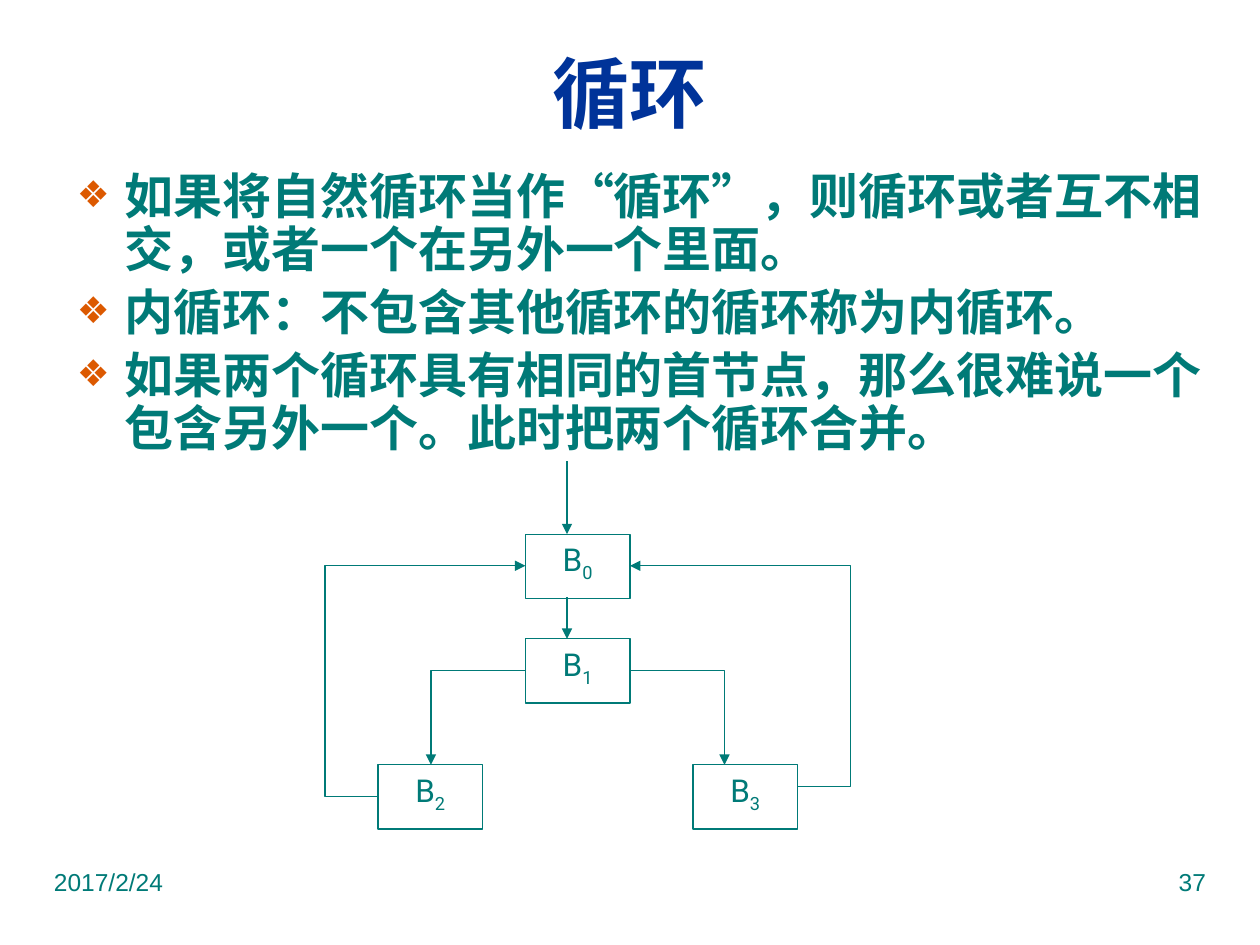
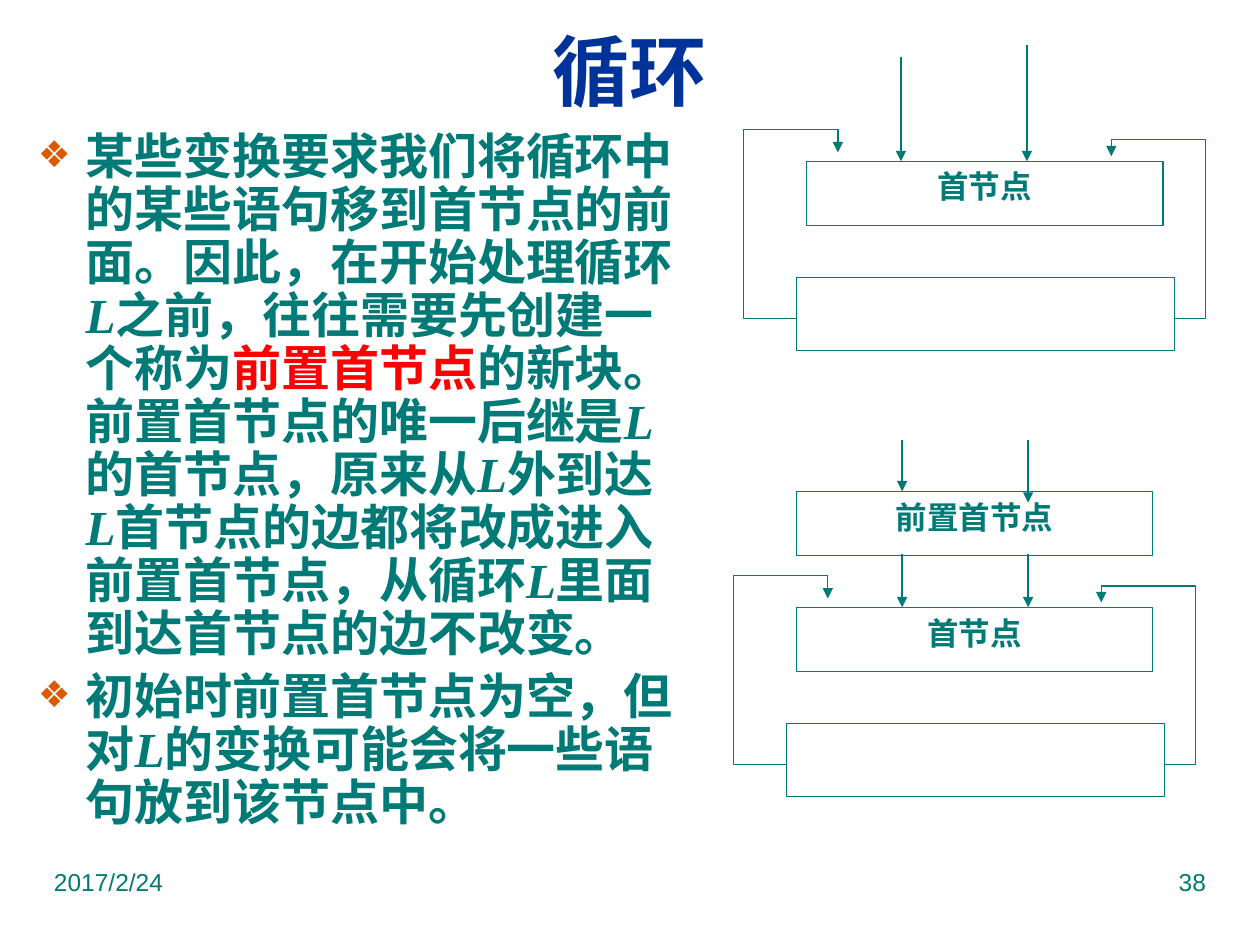
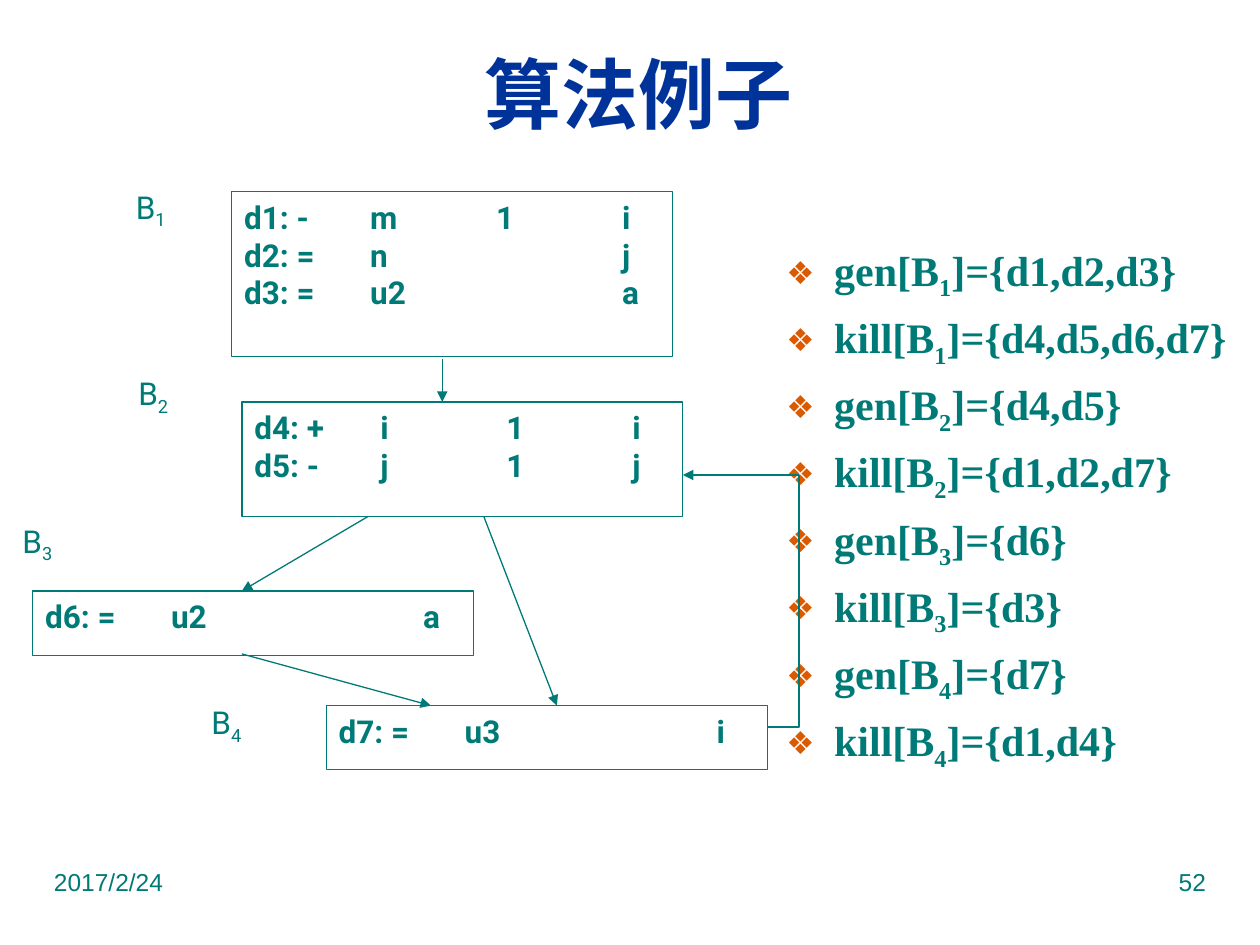
from lxml import etree
from pptx import Presentation
from pptx.dml.color import RGBColor
from pptx.enum.shapes import MSO_CONNECTOR, MSO_SHAPE
from pptx.enum.text import MSO_ANCHOR, MSO_AUTO_SIZE, PP_ALIGN
from pptx.oxml.ns import qn
from pptx.util import Inches, Pt

LEFT, CENTER, RIGHT = PP_ALIGN.LEFT, PP_ALIGN.CENTER, PP_ALIGN.RIGHT
TOP, MIDDLE = MSO_ANCHOR.TOP, MSO_ANCHOR.MIDDLE
NO_FIT = MSO_AUTO_SIZE.NONE
RECT, STRAIGHT = MSO_SHAPE.RECTANGLE, MSO_CONNECTOR.STRAIGHT

TEAL, NAVY, ORANGE, RED = "007A77", "003399", "DC5900", "FF0000"
SERIF, SANS, FOOTER, CJK = "Times New Roman", "Roboto", "Arial", "Noto Sans CJK SC"
LINE_WIDTH = 0.75
BULLET_GAP = 5.6
CJK_LINE = 30.3
LOOP_VAR = ("L", {"italic": True})


def rgb(color):
    return RGBColor.from_string(color)


def add_run(p, text, size, font, color=TEAL, bold=False, italic=False, sub=False):
    r = p.add_run()
    r.text = text
    r.font.name = font
    r.font.size = Pt(size)
    r.font.bold = bold
    r.font.italic = italic
    r.font.color.rgb = rgb(color)
    rPr = r._r.get_or_add_rPr()
    etree.SubElement(rPr, qn("a:ea")).set("typeface", CJK)
    if sub:
        rPr.set("baseline", "-25000")


def add_runs(p, runs, size, font, bold=False):
    for text, style in runs:
        add_run(p, text, size, font, bold=bold, **style)


def place(sp, left, top, width, height):
    sp.left, sp.top = Inches(left), Inches(top)
    sp.width, sp.height = Inches(width), Inches(height)


def frame(sp, anchor=TOP):
    tf = sp.text_frame
    tf.word_wrap = True
    tf.auto_size = NO_FIT
    tf.vertical_anchor = anchor
    return tf


def paragraph(tf, i):
    return tf.add_paragraph() if i else tf.paragraphs[0]


def add_title(s, text, box):
    sp = s.shapes.title
    place(sp, *box)
    p = frame(sp, MIDDLE).paragraphs[0]
    p.alignment = CENTER
    add_run(p, text, 44, SERIF, NAVY, bold=True)


def add_bullet(p):
    pPr = p._p.get_or_add_pPr()
    pPr.set("marL", str(Inches(0.38)))
    pPr.set("indent", str(-Inches(0.38)))
    color = etree.SubElement(pPr, qn("a:buClr"))
    etree.SubElement(color, qn("a:srgbClr")).set("val", ORANGE)
    etree.SubElement(pPr, qn("a:buSzPct")).set("val", "75000")
    etree.SubElement(pPr, qn("a:buChar")).set("char", "❖")


def add_list(s, items, box, size=28, line=None):
    sp = s.placeholders[1]
    place(sp, *box)
    tf = frame(sp)
    for i, runs in enumerate(items):
        p = paragraph(tf, i)
        add_bullet(p)
        p.space_before = Pt(BULLET_GAP if i else 0)
        if line:
            p.line_spacing = Pt(line)
        add_runs(p, runs, size, SERIF, bold=True)


def add_text(s, runs, box, size, font, align=LEFT):
    sp = s.shapes.add_textbox(0, 0, 0, 0)
    place(sp, *box)
    p = frame(sp).paragraphs[0]
    p.alignment = align
    add_runs(p, runs, size, font)


def add_slide(prs, title, number, title_box):
    s = prs.slides.add_slide(prs.slide_layouts[1])
    add_title(s, title, title_box)
    add_text(s, [("2017/2/24", {})], (0.33, 6.83, 2.5, 0.52), 14, FOOTER)
    add_text(s, [(number, {})], (7.17, 6.83, 2.5, 0.52), 14, FOOTER, RIGHT)
    return s


def style_line(sp):
    sp.line.color.rgb = rgb(TEAL)
    sp.line.width = Pt(LINE_WIDTH)


def add_arrowhead(sp):
    ln = sp.line._get_or_add_ln()
    etree.SubElement(ln, qn("a:tailEnd")).set("type", "triangle")


def add_box(s, left, top, width, height):
    sp = s.shapes.add_shape(RECT, Inches(left), Inches(top), Inches(width), Inches(height))
    sp.shadow.inherit = False
    sp.fill.background()
    style_line(sp)
    return sp


def add_label_box(s, runs, left, top, width, bold=False):
    sp = add_box(s, left, top, width, 0.51)
    p = frame(sp).paragraphs[0]
    p.alignment = CENTER
    add_runs(p, runs, 18, SANS, bold)


def add_code_box(s, lines, left, top, height):
    tf = frame(add_box(s, left, top, 3.5, height))
    for i, line in enumerate(lines):
        p = paragraph(tf, i)
        p.alignment = LEFT
        tabs = etree.SubElement(p._p.get_or_add_pPr(), qn("a:tabLst"))
        for stop in (1, 2, 3):
            tab = etree.SubElement(tabs, qn("a:tab"))
            tab.set("pos", str(Inches(stop)))
            tab.set("algn", "l")
        add_run(p, line, 18, SANS, bold=True)


def add_arrow(s, x1, y1, x2, y2):
    cxn = s.shapes.add_connector(STRAIGHT, Inches(x1), Inches(y1), Inches(x2), Inches(y2))
    style_line(cxn)
    add_arrowhead(cxn)
    etree.SubElement(cxn._element.spPr, qn("a:effectLst"))


def add_bent_arrow(s, points):
    start, *rest = [(Inches(x), Inches(y)) for x, y in points]
    builder = s.shapes.build_freeform(*start)
    builder.add_line_segments(rest, close=False)
    sp = builder.convert_to_shape()
    sp.shadow.inherit = False
    sp.fill.background()
    style_line(sp)
    add_arrowhead(sp)


def block_name(n):
    return [("B", {}), (str(n), {"sub": True})]


def add_loop(s, x, y):
    add_label_box(s, [("首节点", {})], x, y, 2.83, bold=True)
    add_box(s, x - 0.08, y + 0.92, 3, 0.58)
    left_edge = [(-0.08, 1.25), (-0.5, 1.25), (-0.5, -0.25), (0.25, -0.25), (0.25, -0.07)]
    right_edge = [(2.92, 1.25), (3.17, 1.25), (3.17, -0.17), (2.42, -0.17), (2.42, -0.04)]
    for edge in (left_edge, right_edge):
        add_bent_arrow(s, [(x + dx, y + dy) for dx, dy in edge])


def nested_loops_slide(prs):
    s = add_slide(prs, "循环", "37", (0.5, 0.3, 9, 0.85))
    items = [
        "如果将自然循环当作“循环”，则循环或者互不相交，或者一个在另外一个里面。",
        "内循环：不包含其他循环的循环称为内循环。",
        "如果两个循环具有相同的首节点，那么很难说一个包含另外一个。此时把两个循环合并。",
    ]
    add_list(s, [[(text, {})] for text in items], (0.51, 1.31, 9.28, 2.52), line=CJK_LINE)
    for n, (x, y) in enumerate([(4.17, 4.24), (4.17, 5.07), (3, 6.07), (5.5, 6.07)]):
        add_label_box(s, block_name(n), x, y, 0.83)
    add_arrow(s, 4.5, 3.66, 4.5, 4.24)
    add_arrow(s, 4.5, 4.74, 4.5, 5.07)
    add_bent_arrow(s, [(4.17, 5.32), (3.42, 5.32), (3.42, 6.07)])
    add_bent_arrow(s, [(5, 5.32), (5.75, 5.32), (5.75, 6.07)])
    add_bent_arrow(s, [(3, 6.32), (2.58, 6.32), (2.58, 4.49), (4.17, 4.49)])
    add_bent_arrow(s, [(6.33, 6.24), (6.75, 6.24), (6.75, 4.49), (5, 4.49)])


def preheader_slide(prs):
    s = add_slide(prs, "循环", "38", (0.5, 0.13, 9, 0.85))
    items = [
        [
            ("某些变换要求我们将循环中的某些语句移到首节点的前面。因此，在开始处理循环", {}),
            LOOP_VAR,
            ("之前，往往需要先创建一个称为", {}),
            ("前置首节点", {"color": RED}),
            ("的新块。前置首节点的唯一后继是", {}),
            LOOP_VAR,
            ("的首节点，原来从", {}),
            LOOP_VAR,
            ("外到达", {}),
            LOOP_VAR,
            ("首节点的边都将改成进入前置首节点，从循环", {}),
            LOOP_VAR,
            ("里面到达首节点的边不改变。", {}),
        ],
        [
            ("初始时前置首节点为空，但对", {}),
            LOOP_VAR,
            ("的变换可能会将一些语句放到该节点中。", {}),
        ],
    ]
    add_list(s, items, (0.2, 0.99, 5.28, 5.83), line=CJK_LINE)
    add_loop(s, 6.4, 1.28)
    add_arrow(s, 7.15, 0.45, 7.15, 1.28)
    add_arrow(s, 8.15, 0.36, 8.15, 1.28)
    add_loop(s, 6.32, 4.82)
    add_label_box(s, [("前置首节点", {})], 6.32, 3.9, 2.83, bold=True)
    for x, entry_end in ((7.16, 3.9), (8.16, 3.99)):
        add_arrow(s, x, 3.49, x, entry_end)
        add_arrow(s, x, 4.4, x, 4.82)


def gen_kill_slide(prs):
    s = add_slide(prs, "算法例子", "52", (0.81, 0.21, 8.52, 1.05))
    gen_kill = [
        ("d1,d2,d3", "d4,d5,d6,d7"),
        ("d4,d5", "d1,d2,d7"),
        ("d6", "d3"),
        ("d7", "d1,d4"),
    ]
    items = [
        [(f"{name}[B", {}), (str(n), {"sub": True}), (f"]={{{defs}}}", {})]
        for n, sets in enumerate(gen_kill, 1)
        for name, defs in zip(("gen", "kill"), sets)
    ]
    add_list(s, items, (6.14, 1.89, 3.82, 5.08), size=24)
    blocks = [
        (["d1: -\tm\t1\ti", "d2: =\tn\t\tj", "d3: =\tu2\t\ta"], 1.84, 1.52, 1.31),
        (["d4: +\ti\t1\ti", "d5: -\tj\t1\tj"], 1.92, 3.19, 0.91),
        (["d6: =\tu2\t\ta"], 0.26, 4.69, 0.51),
        (["d7: =\tu3\t\ti"], 2.59, 5.6, 0.51),
    ]
    for block in blocks:
        add_code_box(s, *block)
    flow = [
        (3.51, 2.85, 3.51, 3.19),
        (2.92, 4.1, 1.92, 4.69),
        (3.84, 4.1, 4.42, 5.6),
        (1.92, 5.19, 3.42, 5.6),
    ]
    for ends in flow:
        add_arrow(s, *ends)
    add_bent_arrow(s, [(6.09, 5.77), (6.34, 5.77), (6.34, 3.77), (5.42, 3.77)])
    for n, (x, y) in enumerate([(0.98, 1.44), (1, 2.92), (0.08, 4.09), (1.58, 5.53)], 1):
        add_text(s, block_name(n), (x, y, 0.67, 0.5), 18, SANS)


def main():
    prs = Presentation()
    prs.slide_width, prs.slide_height = Inches(10), Inches(7.5)
    nested_loops_slide(prs)
    preheader_slide(prs)
    gen_kill_slide(prs)
    prs.save("out.pptx")


if __name__ == "__main__":
    main()
